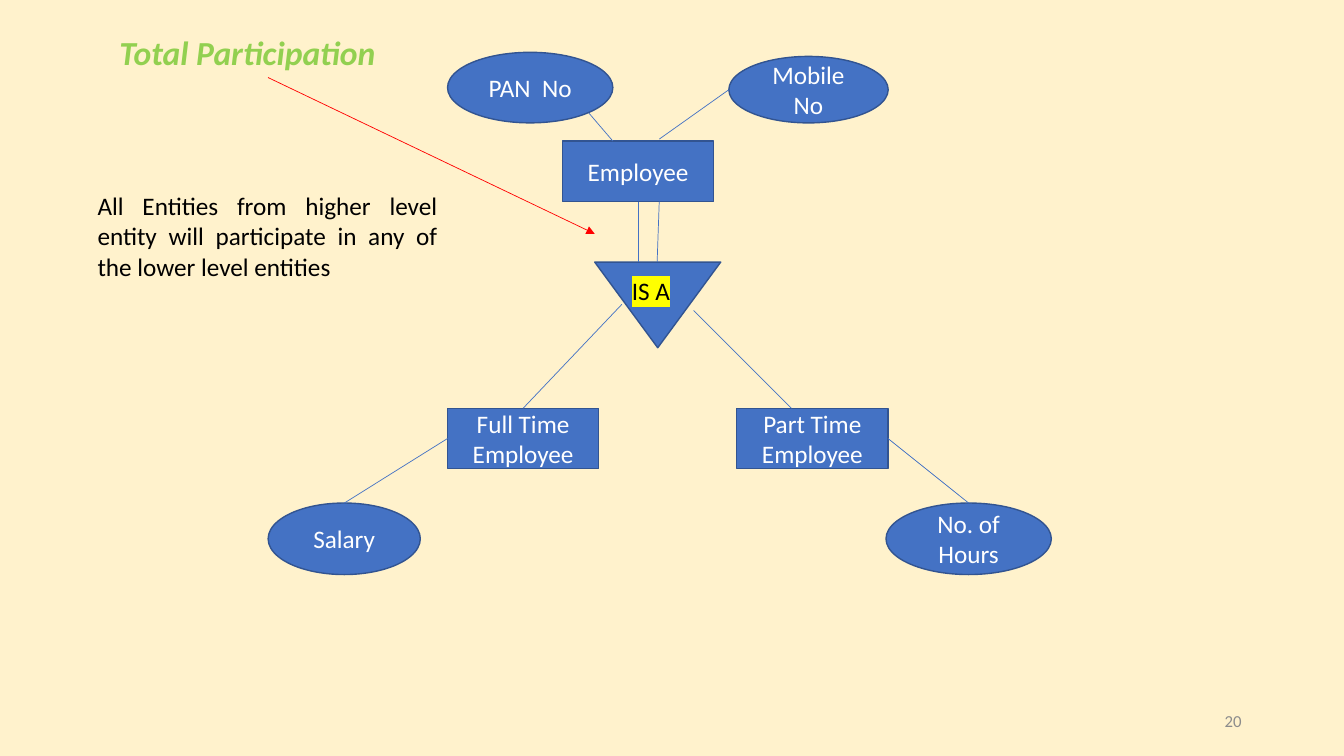
from lxml.etree import SubElement
from pptx import Presentation
from pptx.dml.color import RGBColor
from pptx.enum.shapes import MSO_CONNECTOR, MSO_SHAPE
from pptx.enum.text import MSO_ANCHOR, MSO_AUTO_SIZE, PP_ALIGN
from pptx.oxml import parse_xml
from pptx.oxml.ns import nsdecls, qn
from pptx.util import Pt

CREAM = RGBColor(0xFF, 0xF2, 0xCC)
BLUE = RGBColor(0x44, 0x72, 0xC4)
NAVY = RGBColor(0x32, 0x54, 0x91)
GREEN = RGBColor(0x92, 0xD0, 0x50)
RED = RGBColor(0xFF, 0, 0)
GRAY = RGBColor(0x8C, 0x8C, 0x8C)
BLACK = RGBColor(0, 0, 0)
WHITE = RGBColor(0xFF, 0xFF, 0xFF)


class Board:
    font = "Calibri"
    size = 18

    def __init__(self, slide):
        self.slide = slide
        slide.background.fill.solid()
        slide.background.fill.fore_color.rgb = CREAM

    def label(self, shape, text, color, align, anchor, size=None):
        frame = shape.text_frame
        frame.text = text
        frame.word_wrap = True
        frame.auto_size = MSO_AUTO_SIZE.NONE
        frame.vertical_anchor = anchor
        para = frame.paragraphs[0]
        para.alignment = align
        run = para.runs[0]
        run.font.name = self.font
        run.font.size = Pt(size or self.size)
        run.font.color.rgb = color
        return para

    def title(self, text, left, top, width, height):
        shape = self.slide.shapes.title
        shape.left, shape.top = Pt(left), Pt(top)
        shape.width, shape.height = Pt(width), Pt(height)
        para = self.label(shape, text, GREEN, PP_ALIGN.CENTER, MSO_ANCHOR.TOP, 24)
        para.line_spacing = 1.5
        para.runs[0].font.bold = True
        para.runs[0].font.italic = True

    def note(self, text, box, color=BLACK, align=PP_ALIGN.LEFT,
             anchor=MSO_ANCHOR.TOP, size=None):
        shape = self.slide.shapes.add_textbox(*map(Pt, box))
        return self.label(shape, text, color, align, anchor, size)

    def mark(self, para):
        fill = para.runs[0].font._element.find(qn("a:solidFill"))
        fill.addnext(parse_xml(
            f'<a:highlight {nsdecls("a")}><a:srgbClr val="FFFF00"/></a:highlight>'))

    def node(self, kind, box, text=None):
        shape = self.slide.shapes.add_shape(kind, *map(Pt, box))
        shape.shadow.inherit = False
        shape.fill.solid()
        shape.fill.fore_color.rgb = BLUE
        shape.line.color.rgb = NAVY
        shape.line.width = Pt(1)
        if text:
            self.label(shape, text, WHITE, PP_ALIGN.CENTER, MSO_ANCHOR.MIDDLE)
        return shape

    def entity(self, text, left, top):
        self.node(MSO_SHAPE.RECTANGLE, (left, top, 108, 43.2), text)

    def trait(self, text, *box):
        self.node(MSO_SHAPE.OVAL, box, text)

    def link(self, ends, color=BLUE, arrow=False):
        line = self.slide.shapes.add_connector(MSO_CONNECTOR.STRAIGHT, *map(Pt, ends))
        line.line.color.rgb = color
        line.line.width = Pt(0.5)
        props = line._element.spPr
        if arrow:
            SubElement(props.find(qn("a:ln")), qn("a:tailEnd"), type="triangle")
        SubElement(props, qn("a:effectLst"))


def main():
    deck = Presentation()
    deck.slide_width, deck.slide_height = Pt(960), Pt(540)
    board = Board(deck.slides.add_slide(deck.slide_layouts[5]))

    board.title("Total Participation", -3.6, 5, 360.7, 51.1)
    board.note("20", (678, 500.5, 216, 28.8), GRAY, PP_ALIGN.RIGHT,
               MSO_ANCHOR.MIDDLE, 12)
    board.note("All Entities from higher level entity will participate "
               "in any of the lower level entities",
               (62.6, 132.5, 257, 72.7), align=PP_ALIGN.JUSTIFY)

    board.entity("Employee", 401.8, 100.8)
    board.entity("Full Time Employee", 319.7, 291.6)
    board.entity("Part Time Employee", 526.3, 291.6)

    board.trait("PAN  No", 319.7, 37.4, 118.1, 50.4)
    board.trait("Mobile No", 520.6, 40.3, 113.8, 47.5)
    board.trait("Salary", 191.5, 359.3, 108.7, 51.1)
    board.trait("No. of Hours", 632.9, 359.3, 118.1, 51.1)

    board.node(MSO_SHAPE.ISOSCELES_TRIANGLE, (424.8, 187.2, 90, 61.2)).rotation = 180
    board.mark(board.note("IS A", (444.2, 193, 51.1, 28.8)))

    for ends in (
        (420.5, 80.6, 437.8, 100.8),
        (470.9, 99.4, 520.6, 64.1),
        (455.8, 144, 455.8, 187.2),
        (470.9, 144, 469.4, 187.2),
        (444.2, 217.4, 373.7, 291.6),
        (495.4, 221.8, 565.2, 291.6),
        (246, 359.3, 319.7, 313.2),
        (634.3, 313.2, 691.9, 359.3),
    ):
        board.link(ends)
    board.link((191.5, 55.4, 424.8, 167), RED, arrow=True)

    deck.save("out.pptx")


if __name__ == "__main__":
    main()
